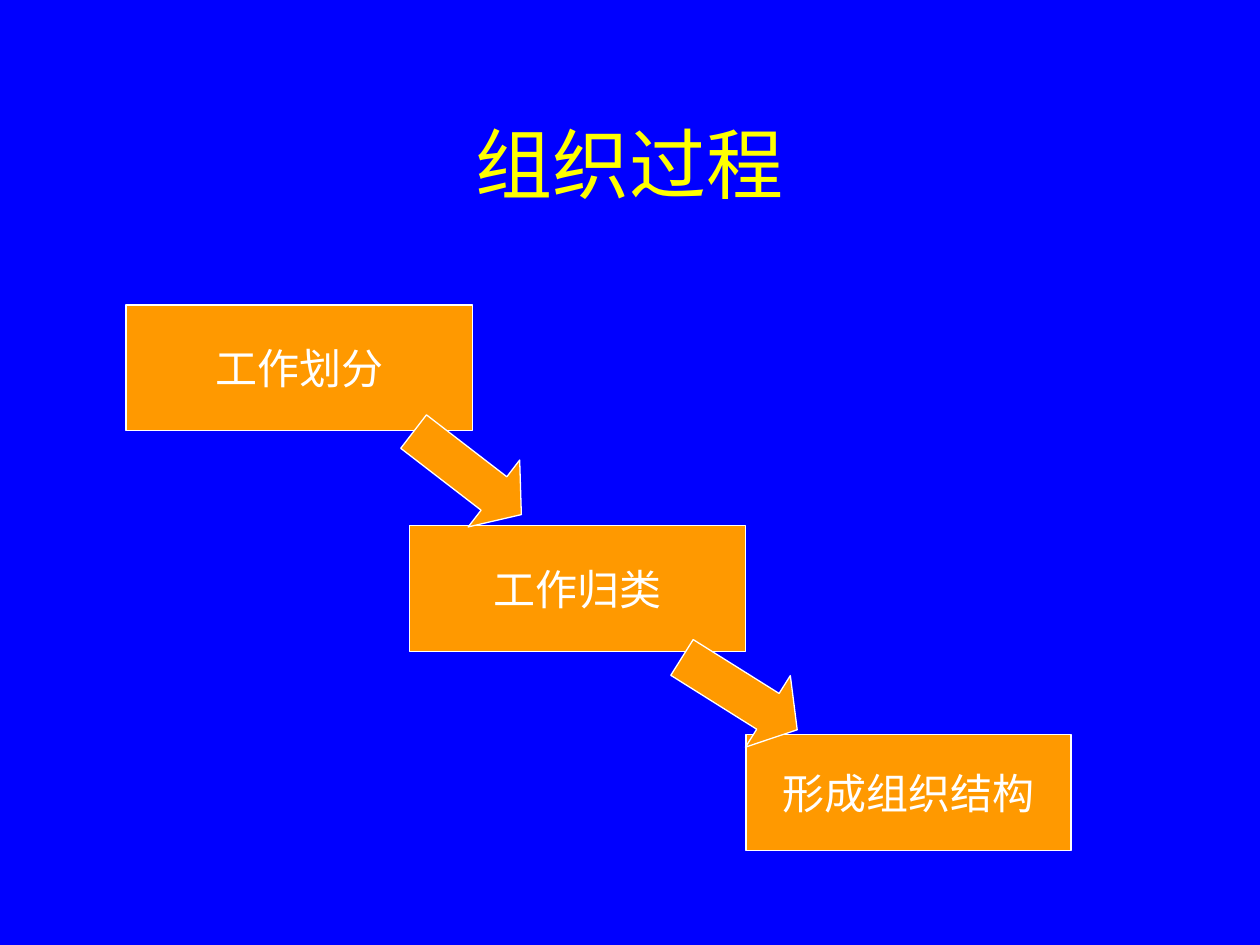
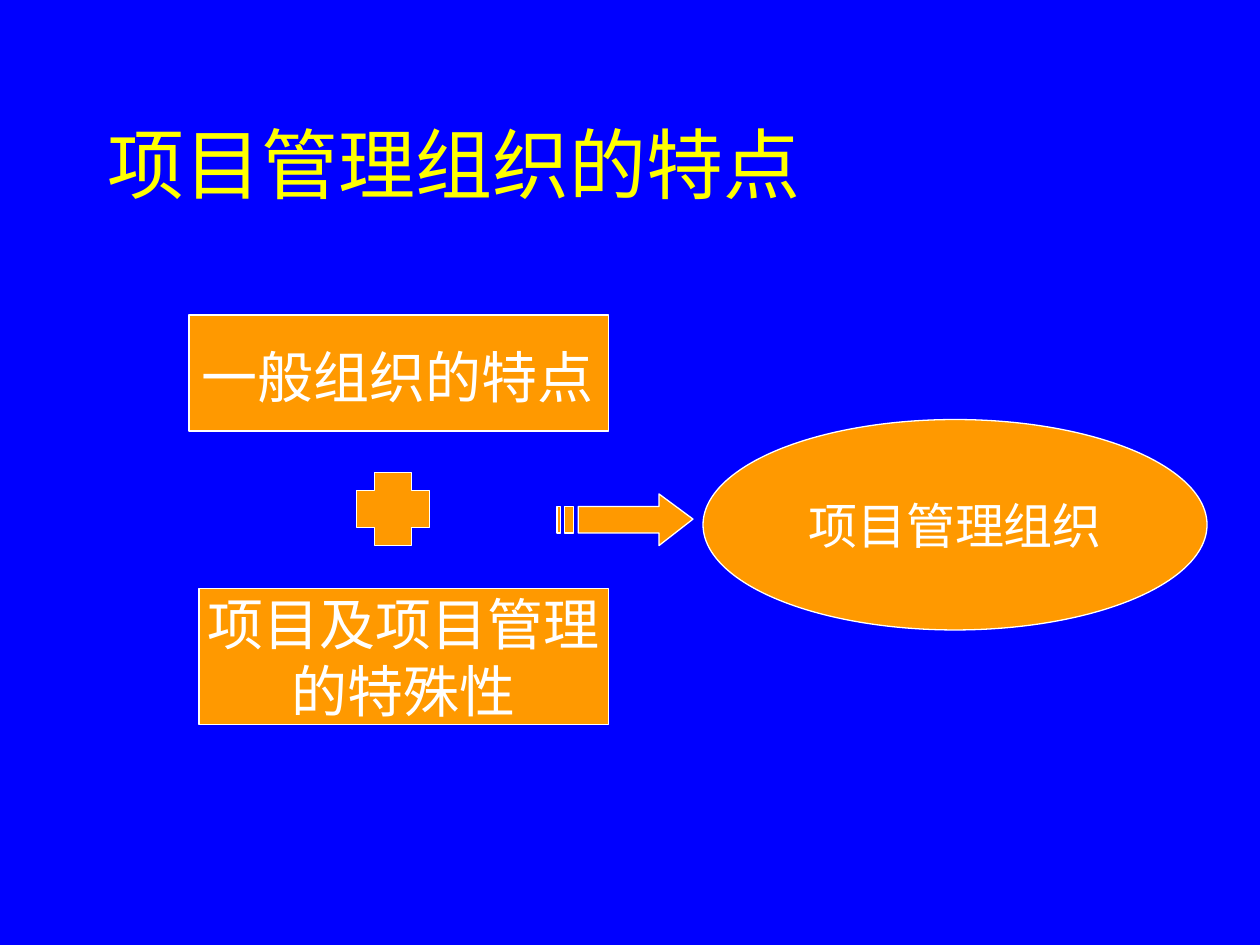
"""Build two slides on the organising process and project organisations."""
from dataclasses import dataclass
from lxml import etree
from pptx import Presentation
from pptx.dml.color import RGBColor
from pptx.enum.shapes import MSO_SHAPE
from pptx.enum.text import MSO_ANCHOR, MSO_AUTO_SIZE, PP_ALIGN
from pptx.oxml.ns import qn
from pptx.util import Inches, Pt

RECT, ARROW = MSO_SHAPE.RECTANGLE, MSO_SHAPE.RIGHT_ARROW
PLUS, OVAL = MSO_SHAPE.CROSS, MSO_SHAPE.OVAL
LEFT, CENTER = PP_ALIGN.LEFT, PP_ALIGN.CENTER
TOP, MIDDLE = MSO_ANCHOR.TOP, MSO_ANCHOR.MIDDLE
FIXED, GROW = MSO_AUTO_SIZE.NONE, MSO_AUTO_SIZE.SHAPE_TO_FIT_TEXT


@dataclass(frozen=True)
class Theme:
    back: RGBColor = RGBColor(0x00, 0x00, 0xFF)
    head: RGBColor = RGBColor(0xFF, 0xFF, 0x00)
    fill: RGBColor = RGBColor(0xFF, 0x99, 0x00)
    white: RGBColor = RGBColor(0xFF, 0xFF, 0xFF)
    sans: str = "Noto Sans CJK SC"
    serif: str = "Times New Roman"
    title: int = 44
    large: int = 32
    mid: int = 28
    small: int = 24
    line: float = 0.75


theme = Theme()


def write(frame, lines, size, face, color=theme.white, align=CENTER,
          anchor=MIDDLE, wrap=False, fit=FIXED):
    frame.auto_size, frame.word_wrap = fit, wrap
    frame.vertical_anchor = anchor
    for i, line in enumerate(lines):
        para = frame.add_paragraph() if i else frame.paragraphs[0]
        para.alignment = align
        run = para.add_run()
        run.text = line
        font = run.font
        font.size, font.name = Pt(size), face
        font.color.rgb = color
        east = etree.SubElement(run._r.get_or_add_rPr(), qn("a:ea"))
        east.set("typeface", theme.sans)


def paint(shape):
    shape.shadow.inherit = False
    shape.fill.solid()
    shape.fill.fore_color.rgb = theme.fill
    shape.line.color.rgb = theme.white
    shape.line.width = Pt(theme.line)
    return shape


deck = Presentation()
deck.slide_width, deck.slide_height = Inches(10), Inches(7.5)
back = deck.slide_master.background.fill
back.solid()
back.fore_color.rgb = theme.back

slides = []
for text, align in (("组织过程", CENTER), ("项目管理组织的特点", LEFT)):
    slide = deck.slides.add_slide(deck.slide_layouts[5])
    title = slide.shapes.title
    title.left, title.top = Inches(0.75), Inches(0.67)
    title.width, title.height = Inches(8.5), Inches(1.25)
    write(title.text_frame, [text], theme.title, theme.sans, theme.head,
          align, wrap=True)
    slides.append(slide)
steps, traits = (slide.shapes for slide in slides)

for text, x, y, w, h in (
    ("工作划分", 1, 2.42, 2.75, 1),
    ("工作归类", 3.25, 4.17, 2.67, 1),
    ("形成组织结构", 5.92, 5.83, 2.58, 0.92),
):
    box = paint(steps.add_shape(RECT, Inches(x), Inches(y), Inches(w), Inches(h)))
    write(box.text_frame, [text], theme.small, theme.serif)

for x, y, turn in ((3.17, 3.42, 37.6), (5.33, 5.17, 32.1)):
    arrow = paint(steps.add_shape(ARROW, Inches(x), Inches(y), Inches(1.08), Inches(0.67)))
    arrow.rotation = turn
    arrow.adjustments[1] = 0.41

paint(traits.add_shape(RECT, Inches(1.5), Inches(2.5), Inches(3.33), Inches(0.92)))
label = traits.add_textbox(Inches(1.5), Inches(2.67), Inches(3.35), Inches(0.64))
write(label.text_frame, ["一般组织的特点"], theme.large, theme.sans,
      align=LEFT, anchor=TOP, fit=GROW)

for kind, lines, x, y, w, h, size, face in (
    (RECT, ["项目及项目管理", "的特殊性"], 1.58, 4.67, 3.25, 1.08, theme.large, theme.sans),
    (PLUS, [], 2.83, 3.75, 0.58, 0.58, theme.large, theme.sans),
    (OVAL, ["项目管理组织"], 5.58, 3.33, 4, 1.67, theme.mid, theme.serif),
):
    shape = paint(traits.add_shape(kind, Inches(x), Inches(y), Inches(w), Inches(h)))
    write(shape.text_frame, lines, size, face)

high, low = 402, 423
pen = traits.build_freeform(459, high, scale=Inches(0.01))
pen.add_line_segments([(523, high), (523, 392), (550, 412),
                       (523, 433), (523, low), (459, low)])
for start, end in ((442, 445), (448, 455)):
    pen.move_to(start, high)
    pen.add_line_segments([(end, high), (end, low), (start, low)])
paint(pen.convert_to_shape())

deck.save("out.pptx")
